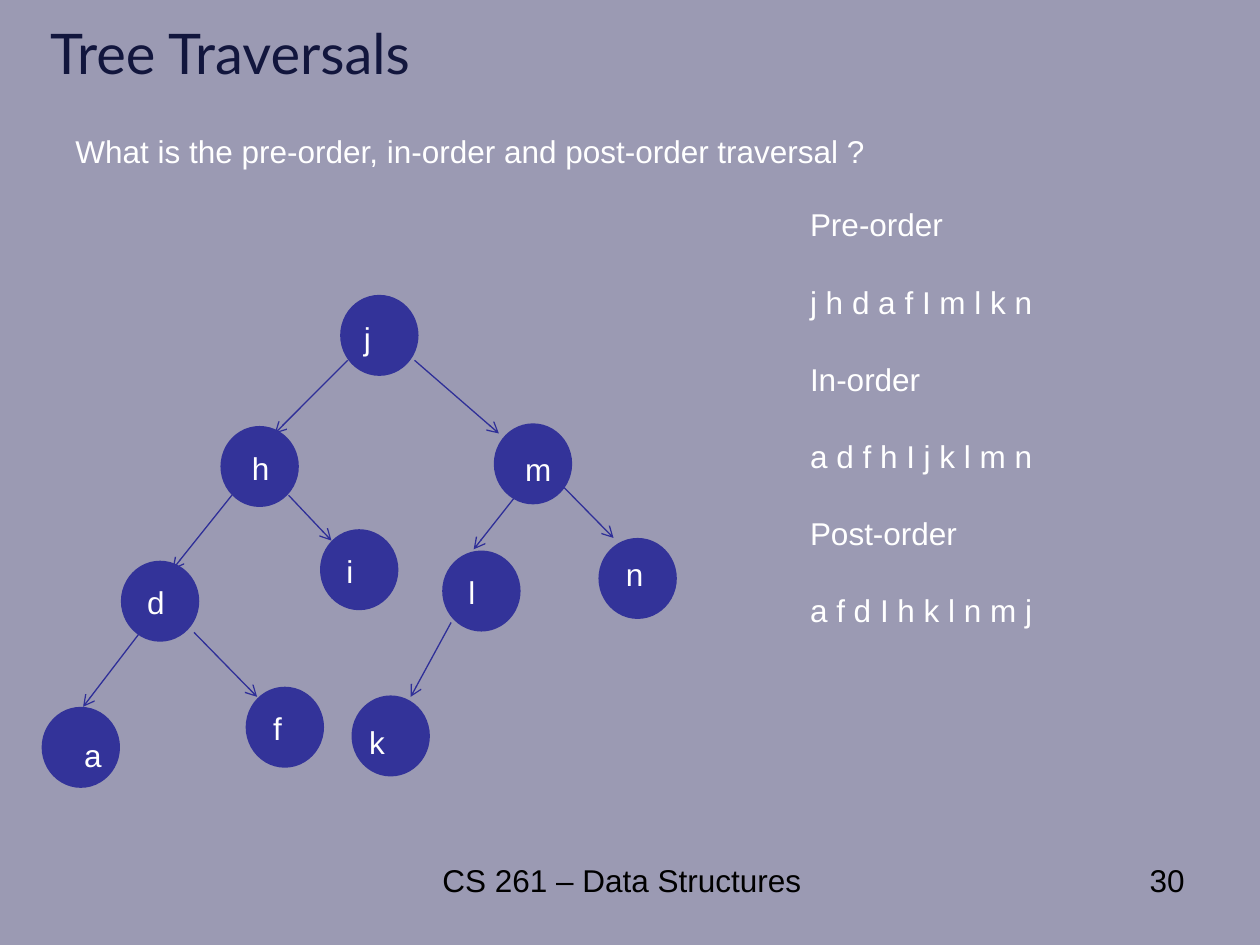
from lxml.etree import SubElement
from pptx import Presentation
from pptx.dml.color import RGBColor
from pptx.enum.shapes import MSO_CONNECTOR, MSO_SHAPE
from pptx.enum.text import MSO_ANCHOR, PP_ALIGN
from pptx.oxml.ns import qn
from pptx.util import Pt

COLORS = {
    "background": "9B9AB3",
    "title": "12163D",
    "node": "333399",
    "edge": "2F2F98",
    "light": "FFFFFF",
    "dark": "000000",
}
NODE_WIDTH, NODE_HEIGHT = 44.8, 46.3


def color(name):
    return RGBColor.from_string(COLORS[name])


def add_text(left, top, width, height, lines, ink="light", font="Arial", size=18,
             align=PP_ALIGN.LEFT, anchor=MSO_ANCHOR.TOP, gap=0):
    box = page.shapes.add_textbox(Pt(left), Pt(top), Pt(width), Pt(height))
    frame = box.text_frame
    frame.word_wrap = True
    frame.vertical_anchor = anchor
    frame.text = "\n".join(lines)
    for para in frame.paragraphs:
        para.alignment = align
        para.space_after = Pt(gap)
        para.font.name = font
        para.font.size = Pt(size)
        para.font.color.rgb = color(ink)


deck = Presentation()
deck.slide_width, deck.slide_height = Pt(720), Pt(540)
page = deck.slides.add_slide(deck.slide_layouts[6])
page.background.fill.solid()
page.background.fill.fore_color.rgb = color("background")

add_text(21.6, 5.8, 648, 48.2, ["Tree Traversals"], "title", "Lato", 32,
         anchor=MSO_ANCHOR.MIDDLE)
add_text(218.9, 488.2, 272.9, 37.4, ["CS 261 – Data Structures"], "dark",
         align=PP_ALIGN.CENTER)
add_text(516.2, 488.2, 167.8, 37.4, ["30"], "dark", align=PP_ALIGN.RIGHT)

edges = [
    (198.7, 205.9, 157, 247.7),
    (236.9, 205.9, 285.1, 247.7),
    (132.5, 283, 98.6, 325.4),
    (164.9, 283, 189.4, 308.9),
    (294.5, 283.7, 270.7, 313.9),
    (314.6, 270.7, 350.6, 307.4),
    (80.6, 360.7, 47.5, 403.9),
    (110.9, 361.4, 146.9, 398.2),
    (257.8, 355.7, 234.7, 398.2),
]
for ends in edges:
    edge = page.shapes.add_connector(MSO_CONNECTOR.STRAIGHT, *map(Pt, ends))
    edge.line.color.rgb = color("edge")
    edge.line.width = Pt(0.75)
    SubElement(edge.line._get_or_add_ln(), qn("a:tailEnd"), type="arrow")
    SubElement(edge._element.spPr, qn("a:effectLst"))

nodes = [
    ("j", 194.4, 168.5, 6.5, 10.1),
    ("h", 126, 243.4, 10.8, 9.4),
    ("m", 282.2, 241.9, 10.8, 11.5),
    ("d", 69.1, 320.4, 7.9, 9.4),
    ("i", 182.9, 302.4, 7.9, 9.4),
    ("l", 252.7, 314.6, 7.9, 9.4),
    ("n", 342, 307.4, 8.6, 6.5),
    ("a", 23.8, 403.9, 17.2, 13),
    ("f", 140.4, 392.4, 8.6, 9.4),
    ("k", 200.9, 397.4, 2.9, 12.3),
]
for letter, left, top, shift_right, shift_down in nodes:
    node = page.shapes.add_shape(MSO_SHAPE.OVAL, Pt(left), Pt(top),
                                 Pt(NODE_WIDTH), Pt(NODE_HEIGHT))
    node.shadow.inherit = False
    node.fill.solid()
    node.fill.fore_color.rgb = color("node")
    node.line.fill.background()
    add_text(left + shift_right, top + shift_down, 39.6, 28.8, [letter])

traversals = [
    "Pre-order", "j h d a f I m l k n",
    "In-order", "a d f h I j k l m n",
    "Post-order", "a f d I h k l n m j",
]
add_text(455.8, 113.8, 180, 247, traversals, gap=22.5)
add_text(36, 72, 498.2, 28.8,
         ["What is the pre-order, in-order and post-order traversal ?"])

deck.save("out.pptx")
